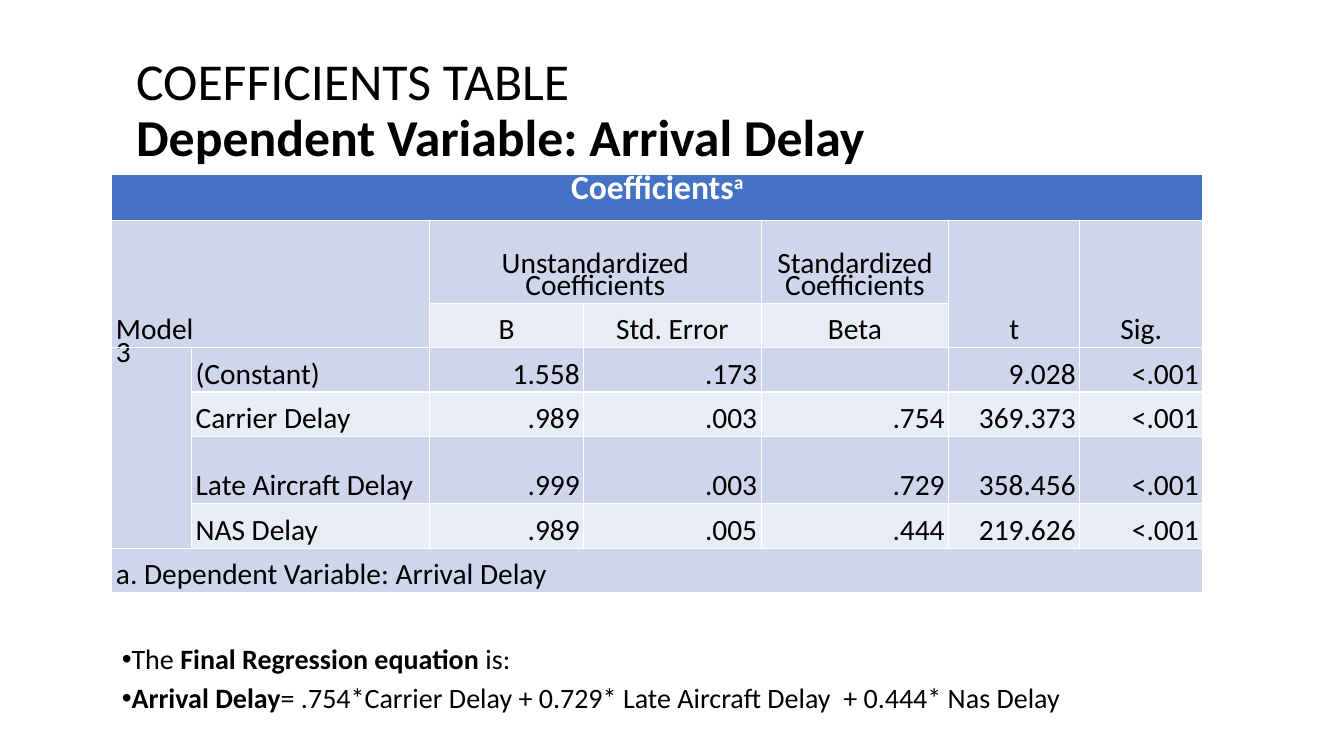
from lxml import etree
from pptx import Presentation
from pptx.dml.color import RGBColor
from pptx.enum.text import MSO_ANCHOR as ANCHOR, MSO_AUTO_SIZE as AUTO, PP_ALIGN as ALIGN
from pptx.oxml.ns import qn
from pptx.util import Inches, Pt

TITLE = [("COEFFICIENTS TABLE", False), ("Dependent Variable: Arrival Delay", True)]
NOTES = [
    [("The ", False), ("Final Regression equation", True), (" is:", False)],
    [("Arrival Delay", True),
     ("= .754*Carrier Delay + 0.729* Late Aircraft Delay  + 0.444* Nas Delay", False)],
]
ROWS = [
    ["Coefficients"] + [""] * 6,
    ["Model", "", "Unstandardized Coefficients", "", "Standardized Coefficients", "t", "Sig."],
    ["", "", "B", "Std. Error", "Beta", "", ""],
    ["3", "(Constant)", "1.558", ".173", "", "9.028", "<.001"],
    ["", "Carrier Delay", ".989", ".003", ".754", "369.373", "<.001"],
    ["", "Late Aircraft Delay", ".999", ".003", ".729", "358.456", "<.001"],
    ["", "NAS Delay", ".989", ".005", ".444", "219.626", "<.001"],
    ["a. Dependent Variable: Arrival Delay"] + [""] * 6,
]
# (first row, first column, last row, last column)
MERGES = [(0, 0, 0, 6), (1, 0, 2, 1), (1, 2, 1, 3), (1, 5, 2, 5),
          (1, 6, 2, 6), (3, 0, 6, 0), (7, 0, 7, 6)]
COL_WIDTHS = [0.79, 2.36, 1.53, 1.76, 1.86, 1.3, 1.22]
ROW_HEIGHTS = [0.46, 0.82, 0.44, 0.44, 0.44, 0.67, 0.44, 0.44]
LINE_HEIGHT = Pt(16)
COLORS = {"text": "000000", "header": "4472C4", "header_text": "FFFFFF",
          "band": "CFD5EA", "light": "E9EBF5"}
FONT = "Calibri"


def add_run(p, text, size, bold=False, color="text"):
    r = p.add_run()
    r.text = text
    for name, value in {"name": FONT, "size": Pt(size), "bold": bold}.items():
        setattr(r.font, name, value)
    r.font.color.rgb = RGBColor.from_string(COLORS[color])
    return r


def add_title(s):
    title = s.shapes.title
    title.left, title.top, title.width, title.height = map(Inches, (1.25, 0.19, 9.35, 1.83))
    tf = title.text_frame
    tf.auto_size, tf.vertical_anchor = AUTO.NONE, ANCHOR.MIDDLE
    p = tf.paragraphs[0]
    p.alignment, p.line_spacing = ALIGN.LEFT, 0.9
    for i, (text, bold) in enumerate(TITLE):
        if i:
            p.add_line_break()
        add_run(p, text, 37, bold)


def add_notes(s):
    box = s.shapes.add_textbox(*map(Inches, (1.11, 6.23, 11.17, 1.03)))
    tf = box.text_frame
    tf.word_wrap, tf.vertical_anchor = True, ANCHOR.MIDDLE
    for i, runs in enumerate(NOTES):
        p = tf.add_paragraph() if i else tf.paragraphs[0]
        p.line_spacing, p.space_after = 0.9, Pt(6)
        pPr = p._p.get_or_add_pPr()
        pPr.set("marL", "0")
        pPr.set("indent", str(-Inches(0.25)))
        etree.SubElement(pPr, qn("a:buFont")).set("typeface", "Arial")
        etree.SubElement(pPr, qn("a:buChar")).set("char", "•")
        for text, bold in runs:
            add_run(p, text, 20, bold)


def cell_layout(row, col):
    """Return the horizontal alignment and vertical anchor of a cell."""
    if row == 0:
        return ALIGN.CENTER, ANCHOR.MIDDLE
    if (row, col) == (3, 0):
        return ALIGN.LEFT, ANCHOR.TOP
    if col < 2:
        return ALIGN.LEFT, ANCHOR.BOTTOM
    return (ALIGN.CENTER if row < 3 else ALIGN.RIGHT), ANCHOR.BOTTOM


def fill_color(row, col):
    if row == 0:
        return "header"
    return "light" if row % 2 == 0 and col else "band"


def add_coefficients(s):
    frame = s.shapes.add_table(len(ROWS), len(COL_WIDTHS), Inches(1.11), Inches(1.73),
                               Inches(sum(COL_WIDTHS)), Inches(sum(ROW_HEIGHTS)))
    table = frame.table
    table.horz_banding = False
    for column, width in zip(table.columns, COL_WIDTHS):
        column.width = Inches(width)
    for row, height in zip(table.rows, ROW_HEIGHTS):
        row.height = Inches(height)
    for top, left, bottom, right in MERGES:
        table.cell(top, left).merge(table.cell(bottom, right))

    for i, texts in enumerate(ROWS):
        for j, text in enumerate(texts):
            cell = table.cell(i, j)
            for side in ("left", "top", "right", "bottom"):
                setattr(cell, f"margin_{side}", 0)
            cell.fill.solid()
            cell.fill.fore_color.rgb = RGBColor.from_string(COLORS[fill_color(i, j)])
            if not text:
                continue
            p = cell.text_frame.paragraphs[0]
            p.alignment, cell.vertical_anchor = cell_layout(i, j)
            p.line_spacing = LINE_HEIGHT
            for side in ("marL", "marR"):
                p._p.get_or_add_pPr().set(side, str(Inches(0.04)))
            if i:
                add_run(p, text, 21)
            else:
                add_run(p, text, 24, True, "header_text")
                mark = add_run(p, "a", 24, True, "header_text")
                mark.font._element.set("baseline", "30000")


def main():
    prs = Presentation()
    prs.slide_width, prs.slide_height = Inches(13.33), Inches(7.5)
    s = prs.slides.add_slide(prs.slide_layouts[5])
    add_title(s)
    add_notes(s)
    add_coefficients(s)
    prs.save("out.pptx")


if __name__ == "__main__":
    main()
